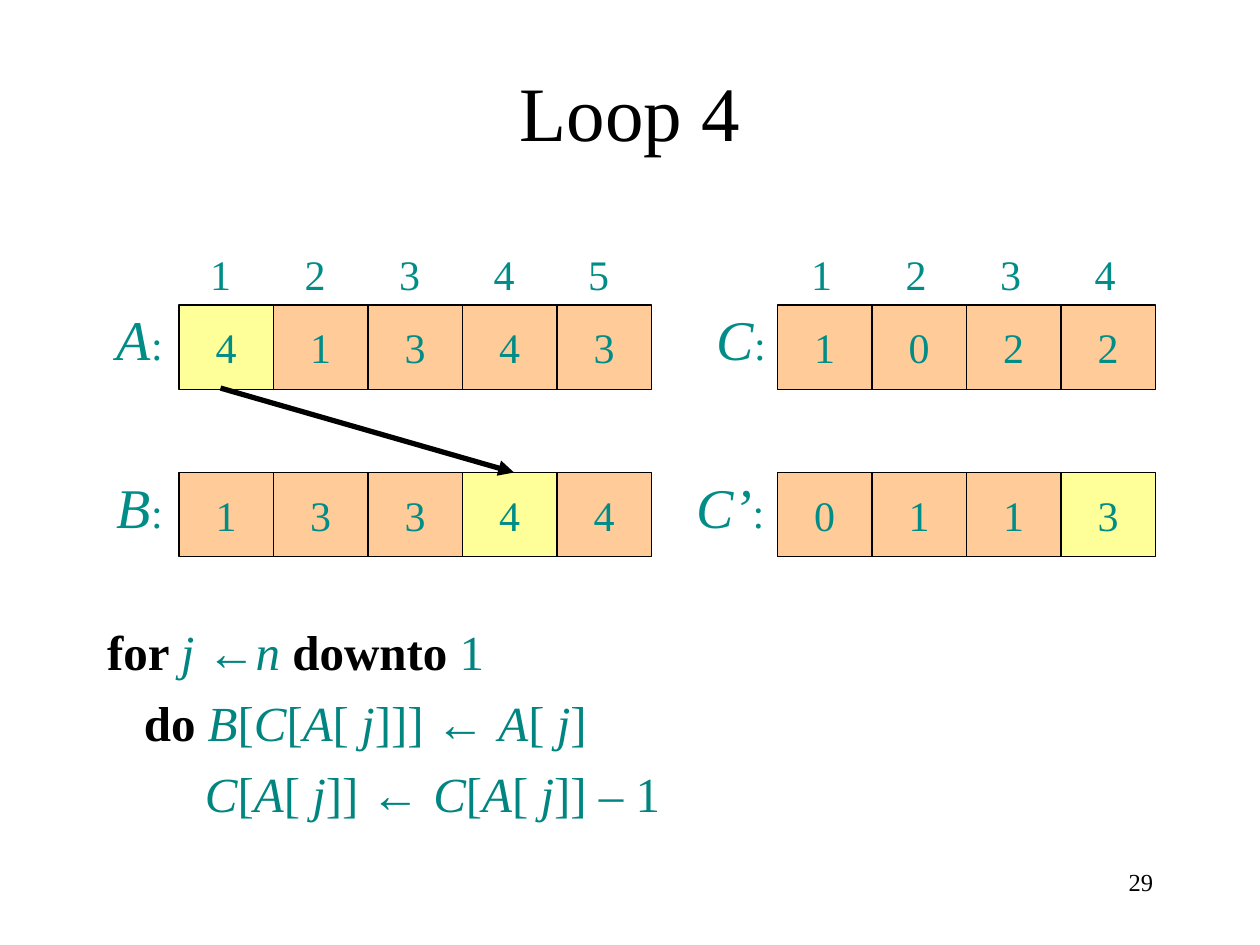
from lxml import etree
from pptx import Presentation
from pptx.dml.color import RGBColor
from pptx.enum.shapes import MSO_CONNECTOR, MSO_SHAPE
from pptx.enum.text import MSO_ANCHOR, PP_ALIGN
from pptx.oxml.ns import qn
from pptx.util import Inches, Pt

RECT = MSO_SHAPE.RECTANGLE
STRAIGHT = MSO_CONNECTOR.STRAIGHT
MIDDLE, TOP = MSO_ANCHOR.MIDDLE, MSO_ANCHOR.TOP
LEFT, CENTER, RIGHT = PP_ALIGN.LEFT, PP_ALIGN.CENTER, PP_ALIGN.RIGHT

SERIF, SANS = "Times New Roman", "Arial"
COLORS = {"ink": "000000", "teal": "008C87", "code": "008581",
          "cell": "FFCC99", "active": "FFFF99"}
CELL_W, CELL_H = 0.75, 0.67
LEFT_X, RIGHT_X = 1.42, 6.17
TOP_Y, BOTTOM_Y = 2.42, 3.75

KEYWORD = {"color": "ink", "bold": True}
VAR = {"italic": True}
PLAIN = {}
ARROW = {"font": SANS}
CODE = [
    [("for ", KEYWORD), ("j ", VAR), ("←", ARROW), ("n ", VAR),
     ("downto ", KEYWORD), ("1", PLAIN)],
    [("   do ", KEYWORD), ("B", VAR), ("[", PLAIN), ("C", VAR), ("[", PLAIN),
     ("A", VAR), ("[ ", PLAIN), ("j", VAR), ("]]] ", PLAIN), ("← ", ARROW),
     ("A", VAR), ("[ ", PLAIN), ("j", VAR), ("]", PLAIN)],
    [("        C", VAR), ("[", PLAIN), ("A", VAR), ("[ ", PLAIN), ("j", VAR),
     ("]] ", PLAIN), ("← ", ARROW), ("C", VAR), ("[", PLAIN), ("A", VAR),
     ("[ ", PLAIN), ("j", VAR), ("]] – 1", PLAIN)],
]


def rgb(name):
    """Return the named colour."""
    return RGBColor.from_string(COLORS[name])


def add_run(p, text, size, color="teal", font=SERIF, bold=False, italic=False):
    """Append one formatted run to a paragraph."""
    r = p.add_run()
    r.text = text
    r.font.size = Pt(size)
    r.font.name = font
    r.font.bold = bold
    r.font.italic = italic
    r.font.color.rgb = rgb(color)


def place(sp, x, y, w, h):
    """Move and size a shape in inches."""
    sp.left, sp.top, sp.width, sp.height = map(Inches, (x, y, w, h))


def add_textbox(s, x, y, w, h, align=LEFT):
    """Add a text box and return its first paragraph."""
    tf = s.shapes.add_textbox(*map(Inches, (x, y, w, h))).text_frame
    tf.word_wrap = True
    p = tf.paragraphs[0]
    p.alignment = align
    return p


def add_title(s, text):
    """Fill the title placeholder."""
    sp = s.shapes.title
    place(sp, 0.75, 0.25, 8.5, 1.25)
    sp.text_frame.vertical_anchor = MIDDLE
    p = sp.text_frame.paragraphs[0]
    p.alignment = CENTER
    add_run(p, text, 44, "ink")


def add_code(s, lines):
    """Fill the body placeholder with pseudocode."""
    sp = s.placeholders[1]
    place(sp, 0.75, 4.88, 8.5, 1.79)
    tf = sp.text_frame
    tf.vertical_anchor = TOP
    for i, line in enumerate(lines):
        p = tf.add_paragraph() if i else tf.paragraphs[0]
        pPr = p._p.get_or_add_pPr()
        pPr.set("marL", str(Inches(0.38)))
        pPr.set("indent", str(-Inches(0.38)))
        etree.SubElement(pPr, qn("a:buNone"))
        p.space_before = Pt(7 if i else 0)
        for text, style in line:
            add_run(p, text, 28, **{"color": "code", **style})


def add_array(s, x, y, values, active=None):
    """Draw a row of cells, with one highlighted."""
    for i, value in enumerate(values):
        sp = s.shapes.add_shape(RECT, Inches(x + i * CELL_W), Inches(y),
                                Inches(CELL_W), Inches(CELL_H))
        sp.shadow.inherit = False
        sp.fill.solid()
        sp.fill.fore_color.rgb = rgb("active" if i == active else "cell")
        sp.line.color.rgb = rgb("ink")
        sp.line.width = Pt(0.75)
        tf = sp.text_frame
        tf.word_wrap = False
        tf.vertical_anchor = MIDDLE
        p = tf.paragraphs[0]
        p.alignment = CENTER
        add_run(p, str(value), 24)


def add_name(s, x, y, w, name):
    """Label an array with its name."""
    p = add_textbox(s, x, y, w, 0.64)
    add_run(p, name, 32, italic=True)
    add_run(p, ":", 24)


def add_indices(s, x, count):
    """Number the columns of an array at equal tab stops."""
    p = add_textbox(s, x, 1.92, count * CELL_W, 0.5)
    tabs = etree.SubElement(p._p.get_or_add_pPr(), qn("a:tabLst"))
    for i in range(1, count):
        etree.SubElement(tabs, qn("a:tab"), pos=str(Inches(i * CELL_W)), algn="l")
    add_run(p, "\t".join(str(i + 1) for i in range(count)), 24)


def add_arrow(s, x1, y1, x2, y2):
    """Draw a thick line with an arrowhead at its end."""
    cn = s.shapes.add_connector(STRAIGHT, *map(Inches, (x1, y1, x2, y2)))
    cn.line.color.rgb = rgb("ink")
    cn.line.width = Pt(3)
    etree.SubElement(cn.line._get_or_add_ln(), qn("a:tailEnd"), type="triangle")
    etree.SubElement(cn._element.spPr, qn("a:effectLst"))


def main():
    """Build the slide."""
    prs = Presentation()
    prs.slide_width, prs.slide_height = Inches(10), Inches(7.5)
    s = prs.slides.add_slide(prs.slide_layouts[1])

    add_title(s, "Loop 4")
    add_code(s, CODE)
    add_array(s, LEFT_X, TOP_Y, [4, 1, 3, 4, 3], active=0)
    add_array(s, RIGHT_X, TOP_Y, [1, 0, 2, 2])
    add_array(s, LEFT_X, BOTTOM_Y, [1, 3, 3, 4, 4], active=3)
    add_array(s, RIGHT_X, BOTTOM_Y, [0, 1, 1, 3], active=3)
    add_name(s, 0.83, TOP_Y - 0.05, 0.65, "A")
    add_name(s, 0.83, BOTTOM_Y - 0.05, 0.65, "B")
    add_name(s, 5.59, TOP_Y - 0.05, 0.65, "C")
    add_name(s, 5.43, BOTTOM_Y - 0.05, 0.8, "C’")
    add_indices(s, 1.57, 5)
    add_indices(s, 6.34, 4)
    add_arrow(s, 1.75, 3.08, 4.08, BOTTOM_Y)
    add_run(add_textbox(s, 7.17, 6.83, 2.08, 0.5, RIGHT), "29", 14, "ink")

    prs.save("out.pptx")


if __name__ == "__main__":
    main()
